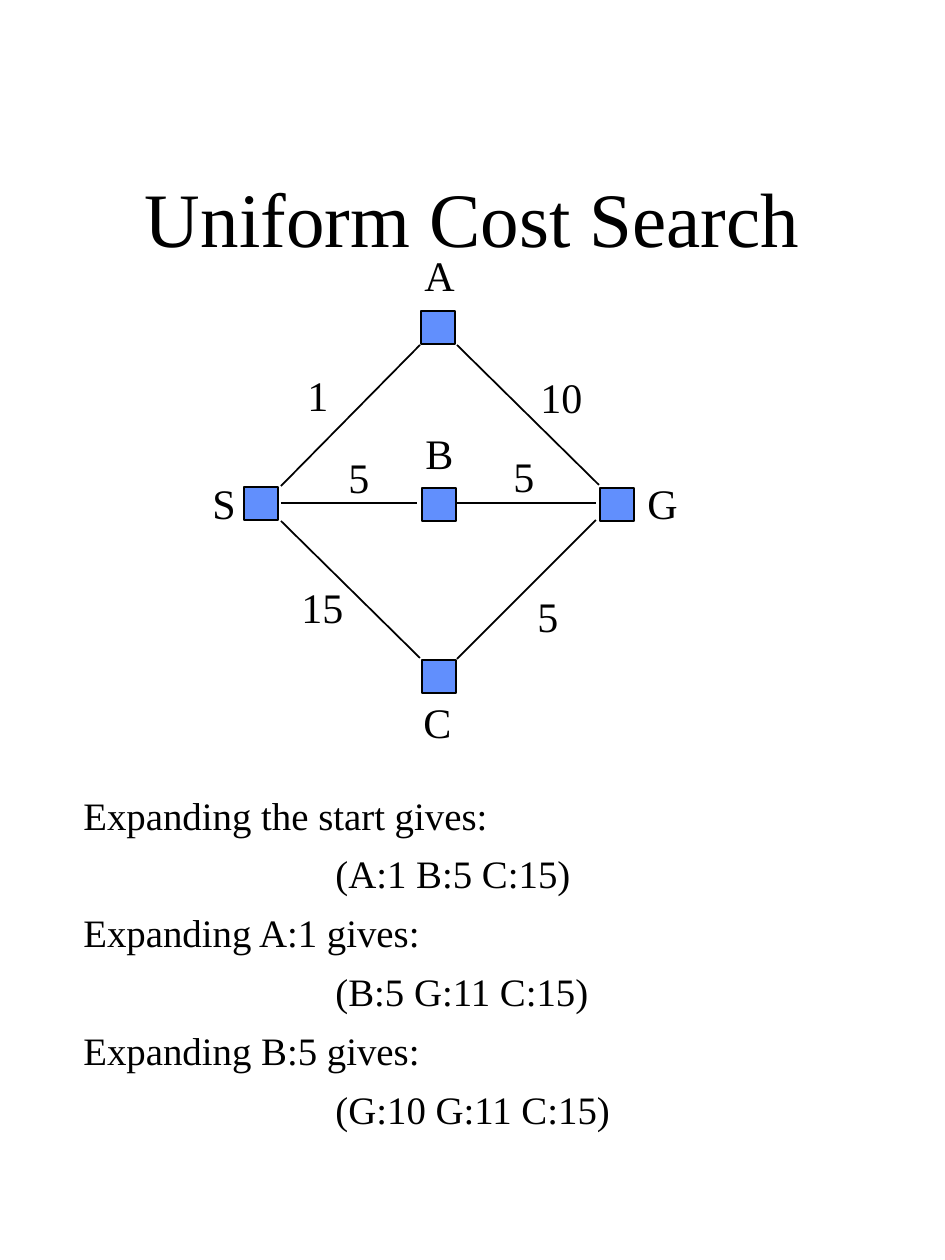
import pptx
import pptx.util
import pptx.dml.color
import pptx.enum.shapes
import pptx.enum.text
import pptx.oxml.ns
import lxml.etree

PX = 914400 / 126
BLACK = pptx.dml.color.RGBColor(0x00, 0x00, 0x00)
NODE_BLUE = pptx.dml.color.RGBColor(0x61, 0x8F, 0xFD)
FONT = "Times New Roman"
LEFT = pptx.enum.text.PP_ALIGN.LEFT
CENTER = pptx.enum.text.PP_ALIGN.CENTER
TOP = pptx.enum.text.MSO_ANCHOR.TOP
MIDDLE = pptx.enum.text.MSO_ANCHOR.MIDDLE
qn = pptx.oxml.ns.qn

presentation = pptx.Presentation()
presentation.slide_width = round(945 * PX)
presentation.slide_height = round(1260 * PX)
slide = presentation.slides.add_slide(presentation.slide_layouts[6])


def px(*lengths):
    return [round(length * PX) for length in lengths]


def add_text(text, box, size=24, align=LEFT, anchor=TOP, wrap=False, gap=0, tabs=()):
    frame = slide.shapes.add_textbox(*px(*box)).text_frame
    frame.word_wrap = wrap
    frame.vertical_anchor = anchor
    for index, line in enumerate(text.split("\n")):
        paragraph = frame.paragraphs[0] if index == 0 else frame.add_paragraph()
        paragraph.alignment = align
        if index:
            paragraph.space_before = pptx.util.Pt(gap)
        if tabs:
            tab_list = lxml.etree.SubElement(paragraph._p.get_or_add_pPr(), qn("a:tabLst"))
            for position in px(*tabs):
                lxml.etree.SubElement(tab_list, qn("a:tab"), pos=str(position), algn="l")
        run = paragraph.add_run()
        run.text = line
        run.font.name = FONT
        run.font.size = pptx.util.Pt(size)
        run.font.color.rgb = BLACK


add_text("Uniform Cost Search", (71, 112, 803, 210), size=44,
         align=CENTER, anchor=MIDDLE, wrap=True)

steps = [
    ("Expanding the start gives:", "(A:1 B:5 C:15)"),
    ("Expanding A:1 gives:", "(B:5 G:11 C:15)"),
    ("Expanding B:5 gives:", "(G:10 G:11 C:15)"),
]
add_text("\n".join(f"{action}\n\t\t{queue}" for action, queue in steps),
         (71, 785, 803, 339), size=22.2, wrap=True, gap=7, tabs=(126, 252))

nodes = [
    ("S", 244, 487, 200, 471, 48),
    ("C", 422, 660, 411, 690, 53),
    ("B", 422, 488, 413, 421, 53),
    ("G", 600, 488, 635, 471, 55),
    ("A", 421, 311, 412, 243, 55),
]
for name, left, top, label_left, label_top, label_width in nodes:
    shape = slide.shapes.add_shape(
        pptx.enum.shapes.MSO_SHAPE.RECTANGLE, *px(left, top, 34, 33))
    shape.shadow.inherit = False
    shape.fill.solid()
    shape.fill.fore_color.rgb = NODE_BLUE
    shape.line.color.rgb = BLACK
    shape.line.width = pptx.util.Pt(1)
    add_text(name, (label_left, label_top, label_width, 63))

edges = [
    ("1", (281, 486, 420, 345), (295, 363, 45)),
    ("15", (281, 521, 420, 658), (289, 575, 67)),
    ("10", (457, 345, 599, 485), (528, 365, 67)),
    ("5", (457, 659, 596, 520), (525, 584, 45)),
    ("5", (281, 503, 417, 503), (336, 445, 45)),
    ("5", (457, 503, 596, 503), (501, 444, 45)),
]
for cost, ends, (label_left, label_top, label_width) in edges:
    connector = slide.shapes.add_connector(
        pptx.enum.shapes.MSO_CONNECTOR.STRAIGHT, *px(*ends))
    connector.line.color.rgb = BLACK
    connector.line.width = pptx.util.Pt(1)
    lxml.etree.SubElement(connector._element.spPr, qn("a:effectLst"))
    add_text(cost, (label_left, label_top, label_width, 63))

presentation.save("out.pptx")
